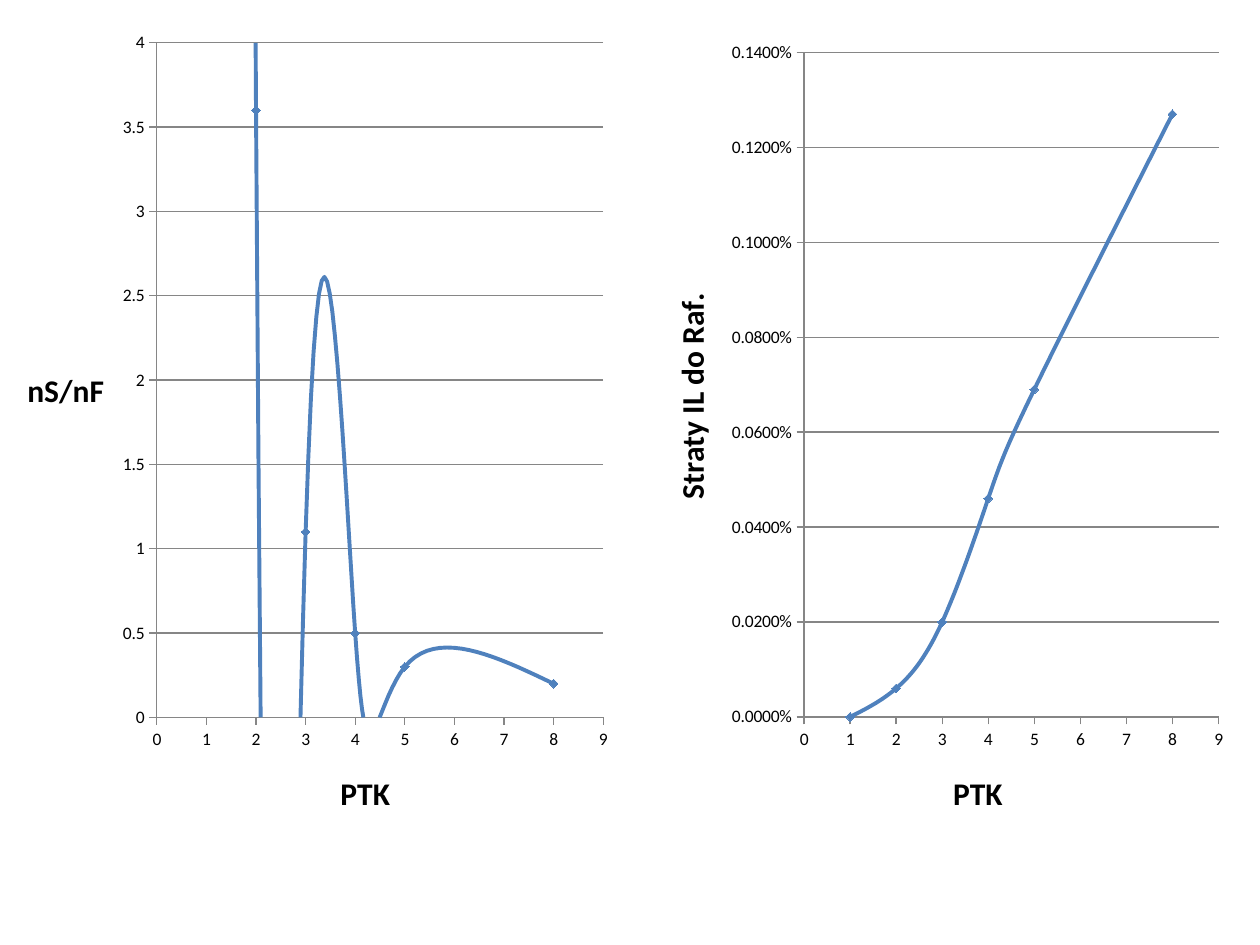
from lxml.etree import SubElement
from pptx import Presentation
from pptx.chart.data import XyChartData
from pptx.dml.color import RGBColor
from pptx.enum.chart import XL_CHART_TYPE as ChartType, XL_MARKER_STYLE as Marker
from pptx.enum.chart import XL_TICK_MARK as TickMark
from pptx.oxml.ns import qn
from pptx.util import Cm, Pt


def paint(fill, color):
    fill.solid()
    fill.fore_color.rgb = RGBColor.from_string(color)


def place(element, index, **percentages):
    """Give a plot area or title a manual layout in percent of the chart."""
    layout = element.find(qn("c:layout"))
    if layout is None:
        layout = element.makeelement(qn("c:layout"))
        element.insert(index, layout)
    manual = SubElement(layout, qn("c:manualLayout"))
    if "w" in percentages:
        SubElement(manual, qn("c:layoutTarget")).set("val", "inner")
    for key in ("x", "y"):
        SubElement(manual, qn(f"c:{key}Mode")).set("val", "edge")
    for key, value in percentages.items():
        SubElement(manual, qn(f"c:{key}")).set("val", str(value / 100))


BLUE, GREY, BLACK = "4F81BD", "868686", "000000"
PTK = [1, 2, 3, 4, 5, 8]
# box in cm, plot area, axis titles as (text, x, y, rotation), scale, number format, values
CHARTS = [
    dict(box=(0, 0.33, 12.5, 16.69), plot=dict(x=25.3, y=3.2, w=72, h=81.5),
         titles=[("PTK", 54, 90.5, 0), ("nS/nF", 3.5, 41.8, 0)],
         maximum=4, step=0.5, number_format="General",
         values=[96.5, 3.6, 1.1, 0.5, 0.3, 0.2]),
    dict(box=(12.9, 0.53, 11.99, 16.48), plot=dict(x=27.6, y=3.2, w=69.7, h=81.3),
         titles=[("PTK", 51.7, 90.5, 0), ("Straty IL do Raf.", 4.1, 31.9, -90)],
         maximum=0.0014, step=0.0002, number_format="0.0000%",
         values=[0, 0.00006, 0.0002, 0.00046, 0.00069, 0.00127]),
]

presentation = Presentation()
presentation.slide_width, presentation.slide_height = Cm(25.4), Cm(19.05)
slide = presentation.slides.add_slide(presentation.slide_layouts[6])

for settings in CHARTS:
    data = XyChartData(number_format=settings["number_format"])
    points = data.add_series("Series 1")
    for x, y in zip(PTK, settings["values"]):
        points.add_data_point(x, y)
    box = [Cm(length) for length in settings["box"]]
    chart = slide.shapes.add_chart(ChartType.XY_SCATTER_SMOOTH, *box, data).chart
    chart.has_legend = False
    chart.has_title = False
    chart.font.name = "Calibri"
    chart.font.size = Pt(10)
    chart.font.color.rgb = RGBColor.from_string(BLACK)
    plot_area = chart.element.find(".//" + qn("c:plotArea"))
    place(plot_area, 0, **settings["plot"])

    plot = chart.plots[0]
    plot.vary_by_categories = False
    series = plot.series[0]
    paint(series.format.line.fill, BLUE)
    series.format.line.width = Pt(2.25)
    series.marker.style = Marker.DIAMOND
    series.marker.size = 5
    paint(series.marker.format.fill, BLUE)
    paint(series.marker.format.line.fill, BLUE)
    for smooth in plot_area.iter(qn("c:smooth")):
        smooth.set("val", "1")

    axes = chart.category_axis, chart.value_axis
    scales = (9, 1, "General"), (settings["maximum"], settings["step"], settings["number_format"])
    for axis, scale, title in zip(axes, scales, settings["titles"]):
        axis.minimum_scale = 0
        axis.maximum_scale, axis.major_unit, number_format = scale
        axis.tick_labels.number_format = number_format
        axis.tick_labels.number_format_is_linked = False
        axis.major_tick_mark = TickMark.OUTSIDE
        axis.minor_tick_mark = TickMark.NONE
        paint(axis.format.line.fill, GREY)
        axis.format.line.width = Pt(0.75)

        text, x, y, rotation = title
        text_frame = axis.axis_title.text_frame
        text_frame.text = text
        font = text_frame.paragraphs[0].font
        font.name, font.size, font.bold = "Calibri", Pt(18), True
        font.color.rgb = RGBColor.from_string(BLACK)
        title_element = axis.axis_title._element
        body = title_element.find(".//" + qn("a:bodyPr"))
        body.set("rot", str(rotation * 60000))
        body.set("vert", "horz")
        place(title_element, 1, x=x, y=y)

    chart.category_axis.has_major_gridlines = False
    gridlines = chart.value_axis.major_gridlines.format.line
    paint(gridlines.fill, GREY)
    gridlines.width = Pt(0.75)

presentation.save("out.pptx")
